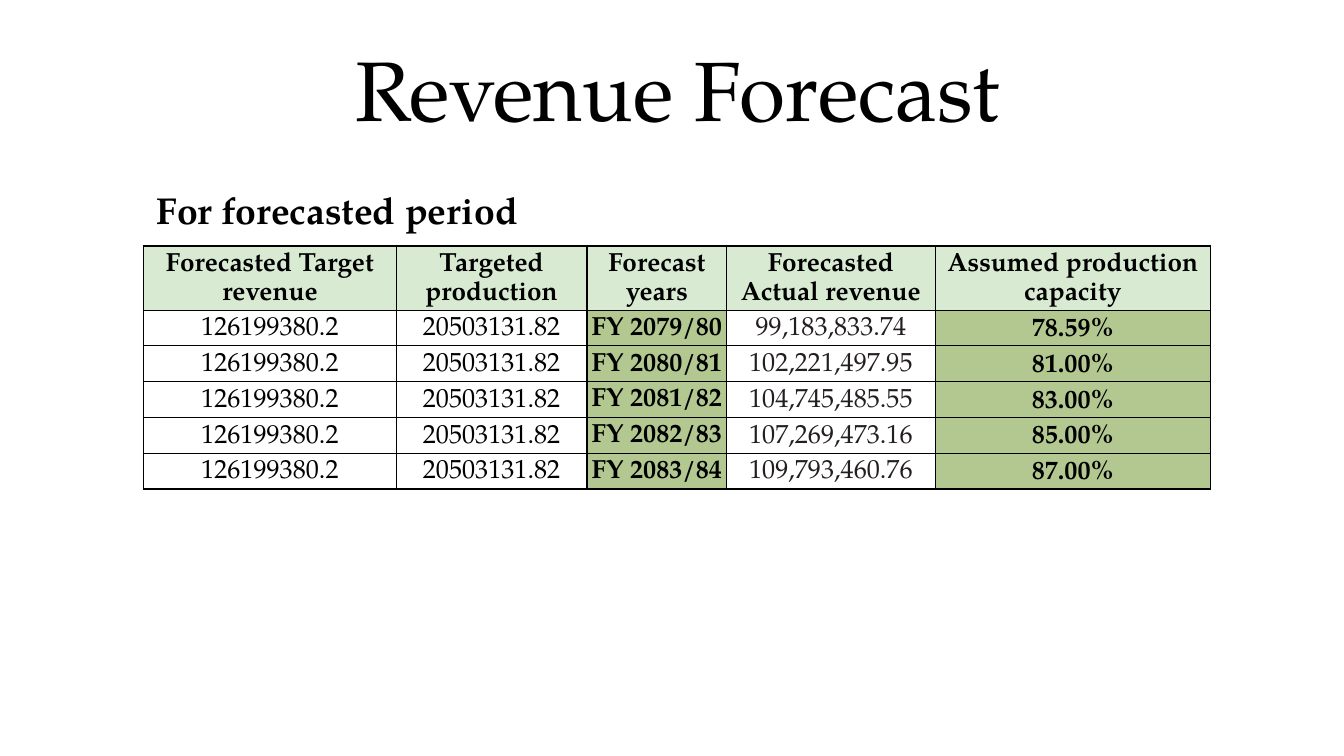
from typing import NamedTuple, Optional

from lxml.etree import SubElement
from pptx import Presentation
from pptx.dml.color import RGBColor
from pptx.enum.text import MSO_ANCHOR as Anchor
from pptx.enum.text import MSO_AUTO_SIZE as AutoSize
from pptx.enum.text import PP_ALIGN as Align
from pptx.oxml.ns import qn
from pptx.util import Pt

FONT = "TeX Gyre Pagella"
BLACK = RGBColor(0x00, 0x00, 0x00)
CHARCOAL = RGBColor(0x23, 0x1F, 0x20)
MINT = RGBColor(0xD9, 0xEA, 0xD3)
SAGE = RGBColor(0xB3, 0xC8, 0x90)

HEADER_HEIGHT, YEAR_HEIGHT = 27.36, 16.56
CELL_FORMAT = {
    "margin_left": Pt(2.16),
    "margin_right": Pt(2.16),
    "margin_top": Pt(1.44),
    "margin_bottom": Pt(1.44),
}
BOX_FORMAT = {
    "margin_left": Pt(7.2),
    "margin_right": Pt(7.2),
    "margin_top": Pt(7.2),
    "margin_bottom": Pt(7.2),
    "word_wrap": True,
}


class Column(NamedTuple):
    heading: str
    width: float
    values: list[str]
    anchor: Anchor = Anchor.BOTTOM
    bold: bool = False
    color: RGBColor = BLACK
    fill: Optional[RGBColor] = None


COLUMNS = [
    Column("Forecasted Target revenue", 135.3, ["126199380.2"] * 5),
    Column("Targeted production", 102.2, ["20503131.82"] * 5),
    Column("Forecast years", 74.9,
           [f"FY {year}/{year % 100 + 1}" for year in range(2079, 2084)],
           anchor=Anchor.TOP, bold=True, fill=SAGE),
    Column("Forecasted Actual revenue", 111.6,
           ["99,183,833.74", "102,221,497.95", "104,745,485.55",
            "107,269,473.16", "109,793,460.76"],
           anchor=Anchor.TOP, color=CHARCOAL),
    Column("Assumed production capacity", 147.6,
           ["78.59%", "81.00%", "83.00%", "85.00%", "87.00%"],
           bold=True, fill=SAGE),
]


def apply_format(target, values: dict) -> None:
    for name, value in values.items():
        setattr(target, name, value)


def write(frame, text: str, size: float, bold: bool = False,
          color: RGBColor = BLACK, align: Align = Align.LEFT):
    """Fill the frame's first paragraph with one styled run and return it."""
    paragraph = frame.paragraphs[0]
    paragraph.alignment = align
    run = paragraph.add_run()
    run.text = text
    apply_format(run.font, {"name": FONT, "size": Pt(size), "bold": bold})
    run.font.color.rgb = color
    return paragraph


def add_borders(cell) -> None:
    """Outline all four sides; borders must precede the cell's fill."""
    properties = cell._tc.get_or_add_tcPr()
    for side in ("a:lnL", "a:lnR", "a:lnT", "a:lnB"):
        line = SubElement(properties, qn(side), w=str(Pt(0.75)))
        solid = SubElement(line, qn("a:solidFill"))
        SubElement(solid, qn("a:srgbClr"), val=str(BLACK))


def format_cell(cell, text: str, anchor: Anchor, bold: bool,
                color: RGBColor, fill: Optional[RGBColor]) -> None:
    apply_format(cell, {**CELL_FORMAT, "vertical_anchor": anchor})
    paragraph = write(cell.text_frame, text, 14, bold, color, Align.CENTER)
    paragraph.line_spacing = 1.15
    add_borders(cell)
    if fill is None:
        cell.fill.background()
    else:
        cell.fill.solid()
        cell.fill.fore_color.rgb = fill


def add_forecast_table(slide, columns: list[Column]) -> None:
    row_count = len(columns[0].values) + 1
    frame = slide.shapes.add_table(row_count, len(columns), Pt(77), Pt(131.8),
                                   Pt(571.6), Pt(249.8))
    table = frame.table
    table.first_row = table.horz_banding = False
    for index, row in enumerate(table.rows):
        row.height = Pt(YEAR_HEIGHT if index else HEADER_HEIGHT)
    for index, column in enumerate(columns):
        table.columns[index].width = Pt(column.width)
        format_cell(table.cell(0, index), column.heading, Anchor.BOTTOM,
                    True, BLACK, MINT)
        for row_index, value in enumerate(column.values, start=1):
            format_cell(table.cell(row_index, index), value, column.anchor,
                        column.bold, column.color, column.fill)
    frame.height = Pt(249.8)


def main() -> None:
    deck = Presentation()
    deck.slide_width, deck.slide_height = Pt(720), Pt(405)
    slide = deck.slides.add_slide(deck.slide_layouts[5])

    title = slide.shapes.title
    apply_format(title, {"left": Pt(27.4), "top": Pt(31.7),
                         "width": Pt(671), "height": Pt(49.7)})
    apply_format(title.text_frame, {**BOX_FORMAT, "auto_size": AutoSize.NONE,
                                    "vertical_anchor": Anchor.BOTTOM})
    write(title.text_frame, "Revenue Forecast", 45, align=Align.CENTER)

    add_forecast_table(slide, COLUMNS)

    period = slide.shapes.add_textbox(Pt(77), Pt(92.9), Pt(396), Pt(38.9))
    apply_format(period.text_frame, {**BOX_FORMAT,
                                     "auto_size": AutoSize.SHAPE_TO_FIT_TEXT})
    write(period.text_frame, "For forecasted period", 20, bold=True)

    deck.save("out.pptx")


if __name__ == "__main__":
    main()
